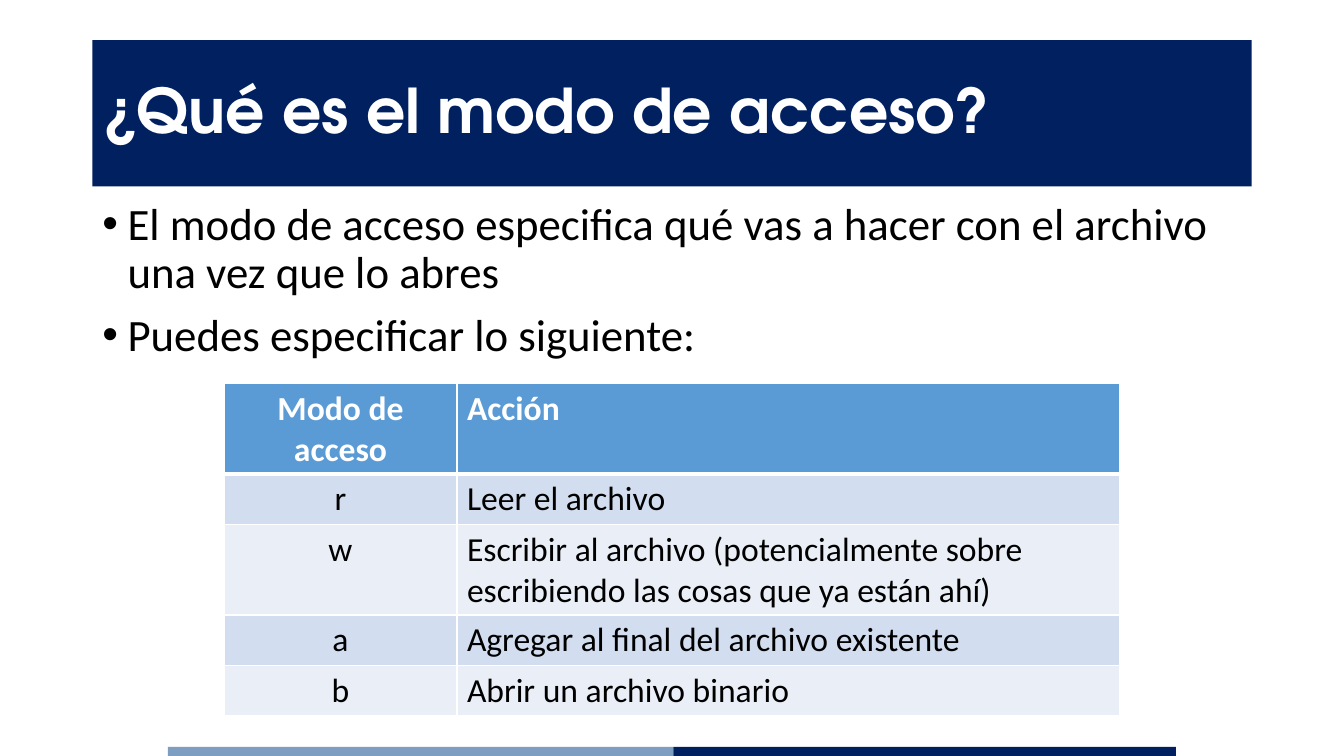
from dataclasses import dataclass

from lxml import etree
from pptx import Presentation
from pptx.dml.color import RGBColor
from pptx.enum.shapes import MSO_SHAPE
from pptx.enum.text import MSO_ANCHOR, PP_ALIGN
from pptx.oxml.ns import qn
from pptx.slide import Slide
from pptx.table import _Cell
from pptx.text.text import _Paragraph
from pptx.util import Inches, Pt

RECT = MSO_SHAPE.RECTANGLE
MIDDLE = MSO_ANCHOR.MIDDLE
LEFT, CENTER = PP_ALIGN.LEFT, PP_ALIGN.CENTER
WIDTH, HEIGHT = Inches(13.33), Inches(7.5)


@dataclass(frozen=True)
class Theme:
    navy: str = "002060"
    steel: str = "7D9EC0"
    header: str = "5B9BD5"
    bands: tuple[str, str] = ("D2DEEF", "EAEFF7")
    white: str = "FFFFFF"
    black: str = "000000"
    title_font: str = "TeX Gyre Adventor"
    body_font: str = "Calibri"
    title_size: int = 44
    body_size: int = 32
    table_size: int = 24


@dataclass(frozen=True)
class Box:
    """Position and size in percent of the slide's width and height."""
    left: float
    top: float
    width: float
    height: float

    def emu(self) -> tuple[int, int, int, int]:
        return (across(self.left), down(self.top),
                across(self.width), down(self.height))


@dataclass(frozen=True)
class Panel:
    box: Box
    fill: str


@dataclass(frozen=True)
class AccessMode:
    mode: str
    action: str
    height: float


THEME = Theme()
FOOTER_BARS = (
    Panel(Box(12.5, 98.8, 37.6, 1.2), THEME.steel),
    Panel(Box(50.1, 98.8, 37.4, 1.2), THEME.navy),
)
TITLE_PANEL = Panel(Box(6.88, 5.33, 86.25, 19.33), THEME.navy)
TITLE = "¿Qué es el modo de acceso?"
BULLETS_BOX = Box(6.88, 26, 86.25, 25.33)
BULLETS = (
    "El modo de acceso especifica qué vas a hacer con el archivo una vez que lo abres",
    "Puedes especificar lo siguiente:",
)
TABLE_BOX = Box(16.67, 50.67, 66.67, 44)
COLUMN_WIDTHS = (17.33, 49.34)
ONE_LINE, TWO_LINES = 6.67, 12
TABLE_ROWS = (
    AccessMode("Modo de acceso", "Acción", TWO_LINES),
    AccessMode("r", "Leer el archivo", ONE_LINE),
    AccessMode("w", "Escribir al archivo (potencialmente sobre escribiendo "
                    "las cosas que ya están ahí)", TWO_LINES),
    AccessMode("a", "Agregar al final del archivo existente", ONE_LINE),
    AccessMode("b", "Abrir un archivo binario", ONE_LINE),
)


def across(percent: float) -> int:
    return round(WIDTH * percent / 100)


def down(percent: float) -> int:
    return round(HEIGHT * percent / 100)


def format_runs(p: _Paragraph, font: str, size: int, color: str,
                bold: bool = False) -> None:
    for r in p.runs:
        r.font.name = font
        r.font.size = Pt(size)
        r.font.bold = bold
        r.font.color.rgb = RGBColor.from_string(color)


def add_panel(s: Slide, panel: Panel):
    sp = s.shapes.add_shape(RECT, *panel.box.emu())
    sp.shadow.inherit = False
    sp.fill.solid()
    sp.fill.fore_color.rgb = RGBColor.from_string(panel.fill)
    sp.line.fill.background()
    return sp


def add_title(s: Slide) -> None:
    tf = add_panel(s, TITLE_PANEL).text_frame
    tf.word_wrap = True
    tf.vertical_anchor = MIDDLE
    p = tf.paragraphs[0]
    p.text = TITLE
    p.alignment = LEFT
    p.line_spacing = 0.9
    format_runs(p, THEME.title_font, THEME.title_size, THEME.white, bold=True)


def add_bullet(p: _Paragraph) -> None:
    pPr = p._p.get_or_add_pPr()
    pPr.set("marL", str(Inches(0.25)))
    pPr.set("indent", str(-Inches(0.25)))
    etree.SubElement(pPr, qn("a:buFont"), typeface="Arial")
    etree.SubElement(pPr, qn("a:buChar"), char="•")


def add_bullets(s: Slide) -> None:
    tf = s.shapes.add_textbox(*BULLETS_BOX.emu()).text_frame
    tf.word_wrap = True
    for i, text in enumerate(BULLETS):
        p = tf.add_paragraph() if i else tf.paragraphs[0]
        p.text = text
        add_bullet(p)
        p.line_spacing = 0.9
        p.space_before = Pt(10 if i else 0)
        format_runs(p, THEME.body_font, THEME.body_size, THEME.black)


def set_borders(cell: _Cell, widths: dict[str, int]) -> None:
    """Draw white borders; widths maps the sides L, R, T, B to points."""
    tcPr = cell._tc.get_or_add_tcPr()
    for side, width in widths.items():
        ln = etree.SubElement(tcPr, qn(f"a:ln{side}"), w=str(Pt(width)))
        fill = etree.SubElement(ln, qn("a:solidFill"))
        etree.SubElement(fill, qn("a:srgbClr"), val=THEME.white)


def add_modes_table(s: Slide) -> None:
    table = s.shapes.add_table(len(TABLE_ROWS), len(COLUMN_WIDTHS),
                               *TABLE_BOX.emu()).table
    for column, width in zip(table.columns, COLUMN_WIDTHS):
        column.width = across(width)
    for i, row in enumerate(TABLE_ROWS):
        table.rows[i].height = down(row.height)
        is_header = i == 0
        fill = THEME.header if is_header else THEME.bands[(i - 1) % 2]
        color = THEME.white if is_header else THEME.black
        borders = {"L": 1, "R": 1, "T": 3 if i == 1 else 1,
                   "B": 3 if is_header else 1}
        for j, (text, align) in enumerate(((row.mode, CENTER), (row.action, LEFT))):
            cell = table.cell(i, j)
            set_borders(cell, borders)
            cell.fill.solid()
            cell.fill.fore_color.rgb = RGBColor.from_string(fill)
            p = cell.text_frame.paragraphs[0]
            p.text = text
            p.alignment = align
            format_runs(p, THEME.body_font, THEME.table_size, color, is_header)


def main() -> None:
    prs = Presentation()
    prs.slide_width, prs.slide_height = WIDTH, HEIGHT
    s = prs.slides.add_slide(prs.slide_layouts[6])
    for bar in FOOTER_BARS:
        add_panel(s, bar)
    add_title(s)
    add_bullets(s)
    add_modes_table(s)
    prs.save("out.pptx")


if __name__ == "__main__":
    main()
